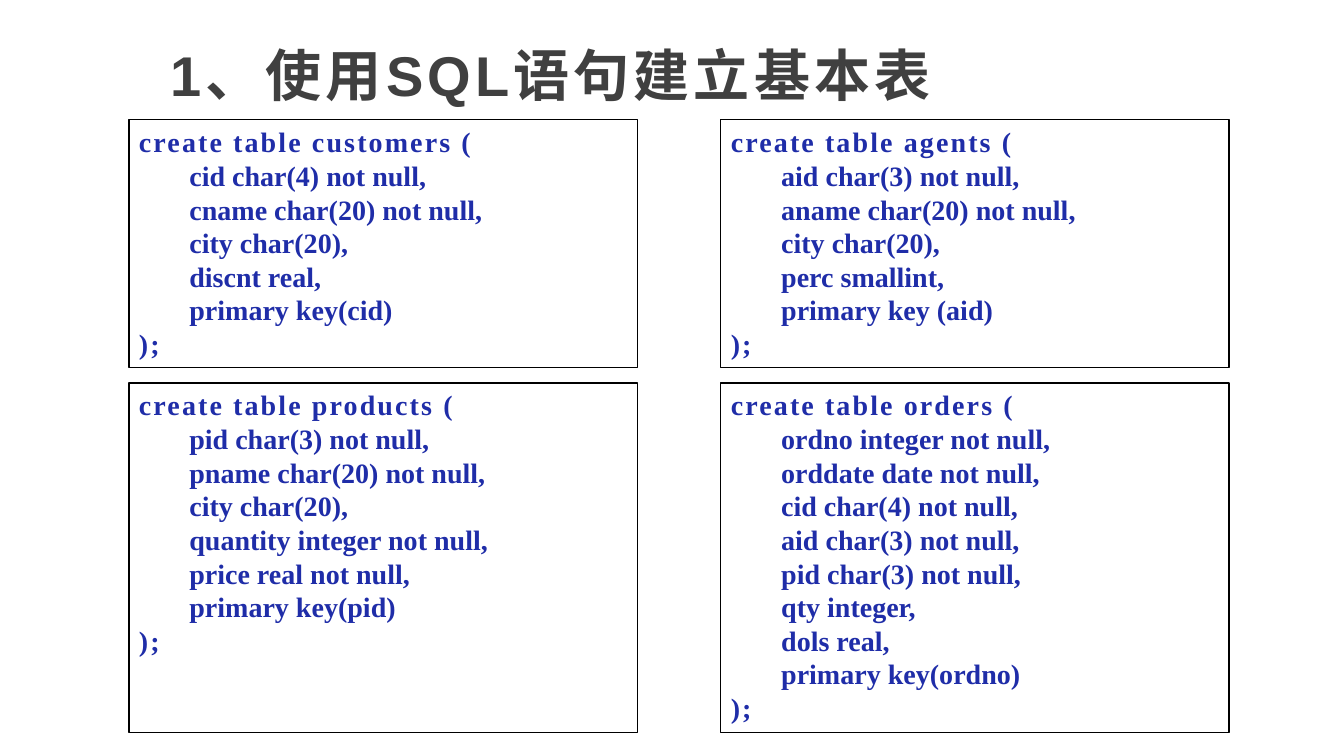
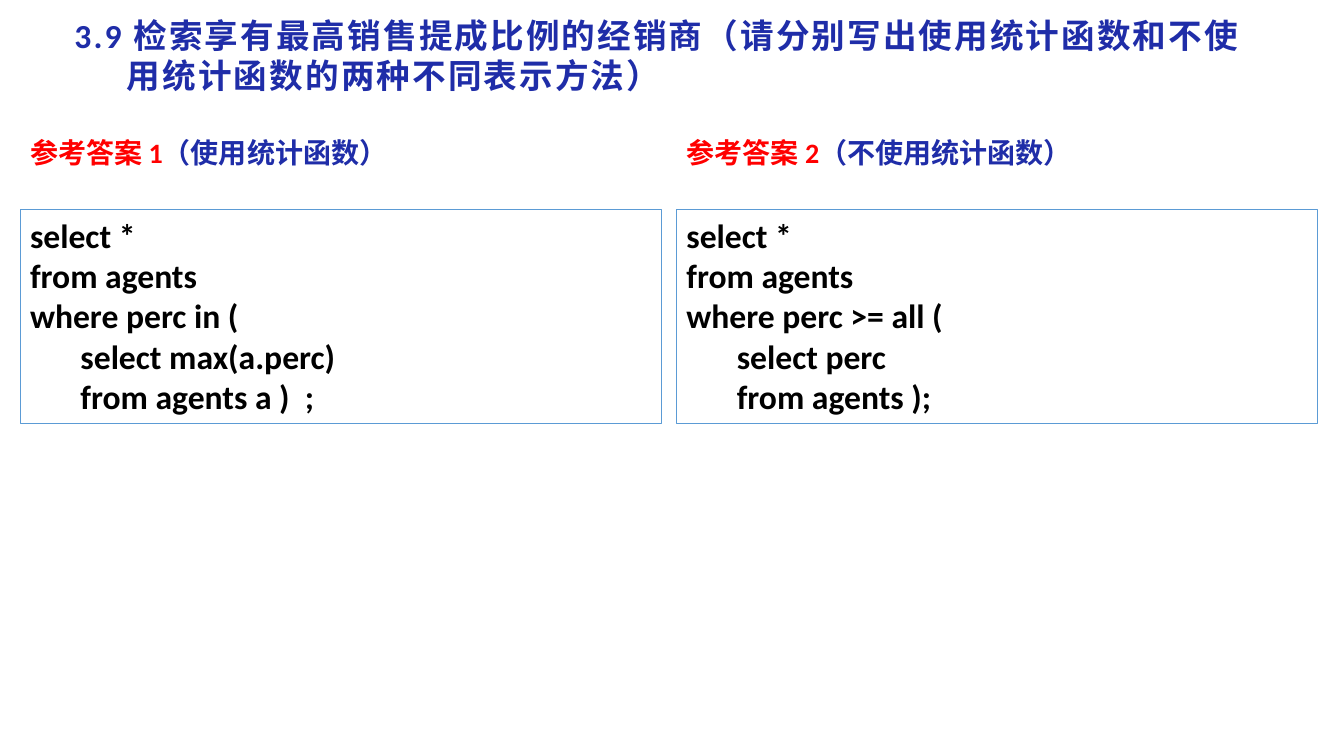
from dataclasses import dataclass

from pptx import Presentation
from pptx.dml.color import RGBColor
from pptx.enum.shapes import MSO_SHAPE
from pptx.enum.text import MSO_ANCHOR, PP_ALIGN
from pptx.oxml.ns import qn
from pptx.slide import Slide
from pptx.text.text import TextFrame
from pptx.util import Emu, Pt

PX = 9144
BLUE = RGBColor(0x1F, 0x2D, 0xA8)
RED = RGBColor(0xFF, 0x00, 0x00)
BLACK = RGBColor(0x00, 0x00, 0x00)
GRAY = RGBColor(0x40, 0x40, 0x40)
SKY = RGBColor(0x5B, 0x9B, 0xD5)

CODE_INDENT = 50
SCHEMA_LEFTS = (128, 715)
ANSWER_LEFTS = (20, 671)


@dataclass(frozen=True)
class Box:
    left: int
    top: int
    width: int
    height: int

    def emu(self) -> tuple[Emu, ...]:
        return tuple(Emu(value * PX) for value in (self.left, self.top, self.width, self.height))


@dataclass(frozen=True)
class TextStyle:
    font: str
    size: int
    color: RGBColor
    spacing: int = 0


@dataclass(frozen=True)
class CodeStyle:
    outer: TextStyle
    inner: TextStyle
    border: RGBColor


@dataclass(frozen=True)
class Answer:
    label: str
    method: str
    code: str


SECTION_TITLE = TextStyle("Arial", 40, GRAY, 300)
QUESTION_TITLE = TextStyle("Calibri", 24, BLUE, 150)
ANSWER_HEADING = TextStyle("Calibri", 20, BLUE)
ANSWER_TEXT = TextStyle("Calibri", 24, BLACK)
SCHEMA_CODE = CodeStyle(
    TextStyle("Times New Roman", 20, BLUE, 150), TextStyle("Times New Roman", 20, BLUE), BLACK
)
ANSWER_CODE = CodeStyle(ANSWER_TEXT, ANSWER_TEXT, SKY)

SCHEMA_ROWS = (
    (
        119,
        246,
        (
            """create table customers (
    cid char(4) not null,
    cname char(20) not null,
    city char(20),
    discnt real,
    primary key(cid)
);""",
            """create table agents (
    aid char(3) not null,
    aname char(20) not null,
    city char(20),
    perc smallint,
    primary key (aid)
);""",
        ),
    ),
    (
        380,
        347,
        (
            """create table products (
    pid char(3) not null,
    pname char(20) not null,
    city char(20),
    quantity integer not null,
    price real not null,
    primary key(pid)
);""",
            """create table orders (
    ordno integer not null,
    orddate date not null,
    cid char(4) not null,
    aid char(3) not null,
    pid char(3) not null,
    qty integer,
    dols real,
    primary key(ordno)
);""",
        ),
    ),
)

ANSWERS = (
    Answer(
        "参考答案 1",
        "（使用统计函数）",
        """select *
from agents
where perc in (
    select max(a.perc)
    from agents a )  ;""",
    ),
    Answer(
        "参考答案 2",
        "（不使用统计函数）",
        """select *
from agents
where perc >= all (
    select perc
    from agents );""",
    ),
)


def style_paragraph(paragraph, style: TextStyle, margin: int = 0, indent: int = 0) -> None:
    paragraph.alignment = PP_ALIGN.LEFT
    properties = paragraph._p.get_or_add_pPr()
    properties.set("marL", str(margin * PX))
    properties.set("indent", str(indent * PX))
    font = paragraph.font
    font.name = style.font
    font.size = Pt(style.size)
    font.bold = True
    font.color.rgb = style.color
    properties.find(qn("a:defRPr")).set("spc", str(style.spacing))


def add_text_box(slide: Slide, box: Box) -> TextFrame:
    frame = slide.shapes.add_textbox(*box.emu()).text_frame
    frame.word_wrap = True
    return frame


def add_title(
    slide: Slide,
    box: Box,
    text: str,
    style: TextStyle,
    anchor: MSO_ANCHOR = MSO_ANCHOR.TOP,
    hanging: int = 0,
) -> None:
    frame = add_text_box(slide, box)
    frame.vertical_anchor = anchor
    frame.text = text
    style_paragraph(frame.paragraphs[0], style, hanging, -hanging)


def add_answer_heading(slide: Slide, box: Box, answer: Answer) -> None:
    paragraph = add_text_box(slide, box).paragraphs[0]
    style_paragraph(paragraph, ANSWER_HEADING)
    for text, color in ((answer.label, RED), (answer.method, BLUE)):
        run = paragraph.add_run()
        run.text = text
        run.font.color.rgb = color


def add_code_box(slide: Slide, box: Box, code: str, style: CodeStyle) -> None:
    shape = slide.shapes.add_shape(MSO_SHAPE.RECTANGLE, *box.emu())
    shape.shadow.inherit = False
    shape.fill.background()
    shape.line.color.rgb = style.border
    shape.line.width = Pt(0.75)
    frame = shape.text_frame
    frame.word_wrap = True
    frame.vertical_anchor = MSO_ANCHOR.TOP
    frame.text = "\n".join(line.strip() for line in code.splitlines())
    for line, paragraph in zip(code.splitlines(), frame.paragraphs):
        if line.startswith(" "):
            paragraph.level = 1
            style_paragraph(paragraph, style.inner, CODE_INDENT)
        else:
            style_paragraph(paragraph, style.outer)


def build_schema_slide(slide: Slide) -> None:
    add_title(
        slide,
        Box(159, 11, 1016, 101),
        "1、使用SQL语句建立基本表",
        SECTION_TITLE,
        MSO_ANCHOR.BOTTOM,
    )
    for top, height, statements in SCHEMA_ROWS:
        for left, statement in zip(SCHEMA_LEFTS, statements):
            add_code_box(slide, Box(left, top, 504, height), statement, SCHEMA_CODE)


def build_answer_slide(slide: Slide) -> None:
    add_title(
        slide,
        Box(64, 10, 1208, 91),
        "3.9 检索享有最高销售提成比例的经销商（请分别写出使用统计函数和不使用统计函数的两种不同表示方法）",
        QUESTION_TITLE,
        hanging=52,
    )
    for left, answer in zip(ANSWER_LEFTS, ANSWERS):
        add_answer_heading(slide, Box(left, 130, 636, 44), answer)
        add_code_box(slide, Box(left, 208, 636, 212), answer.code, ANSWER_CODE)


def main() -> None:
    presentation = Presentation()
    presentation.slide_width = Emu(1333 * PX)
    presentation.slide_height = Emu(750 * PX)
    blank_layout = presentation.slide_layouts[6]
    for build_slide in (build_schema_slide, build_answer_slide):
        build_slide(presentation.slides.add_slide(blank_layout))
    presentation.save("out.pptx")


if __name__ == "__main__":
    main()
